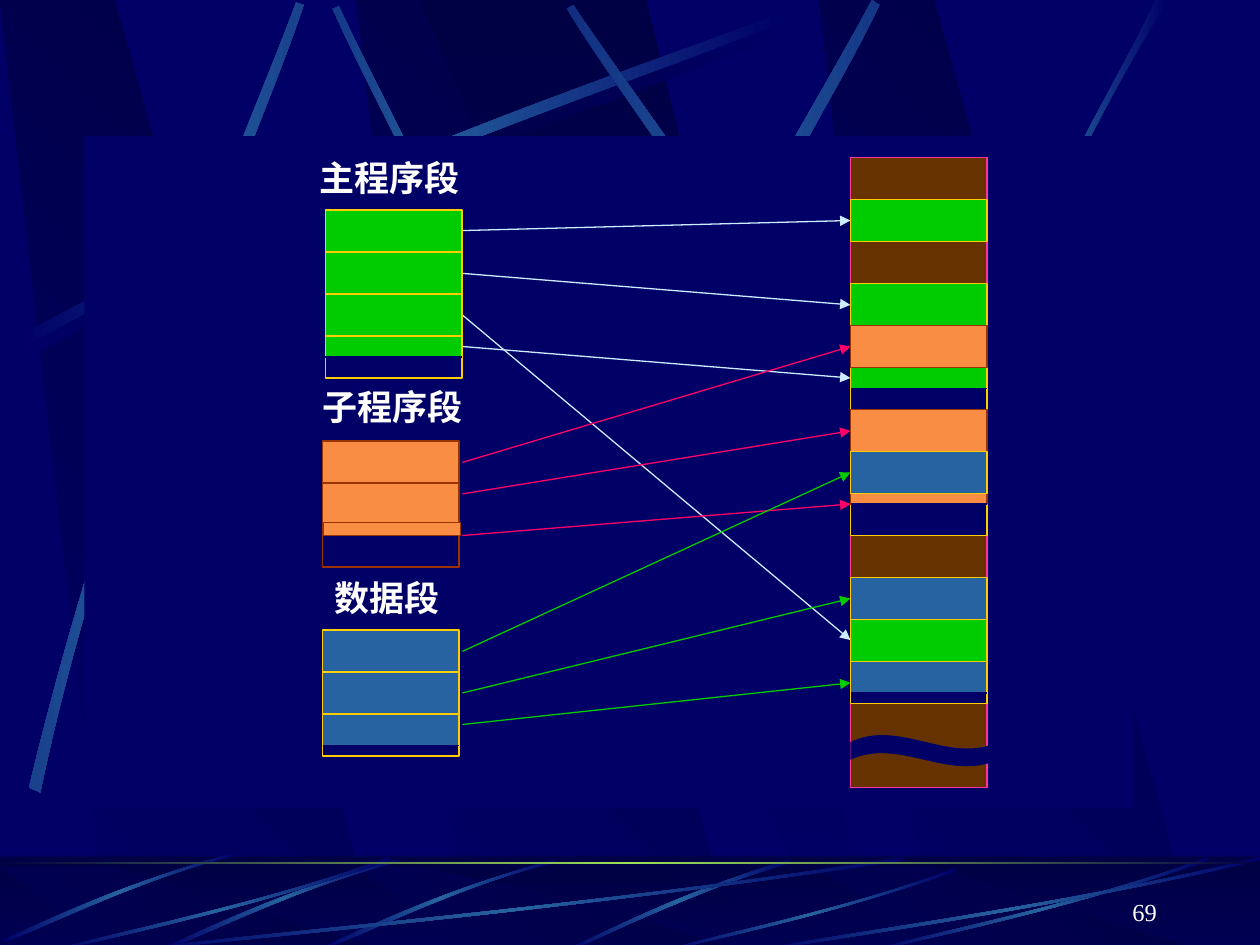
from copy import deepcopy
from math import cos, radians, sin

from lxml import etree
from pptx import Presentation
from pptx import util as u
from pptx.dml.color import RGBColor
from pptx.enum import shapes, text
from pptx.oxml.ns import qn

# Colours
NAVY, DARK, BLUE, GREEN, ORANGE = "000066", "000044", "2663A0", "00CC00", "F98D43"
GOLD, RUST, WHITE = "FFCC00", "993300", "FFFFFF"
STREAK = ([NAVY, BLUE, NAVY], 0)
SHADE = ([NAVY, DARK, NAVY], 0)

# Background outlines: (x, y) is a line, six numbers are a curve
PANEL_LEFTS = [2.83, 0, 6.5]
PANEL = [(0.86, 1), (3.02, 1), (0.91, 0), (0, 0)]
BEAM = [(3.33, 0), (6.58, 1), (6.94, 1), (5.13, 0)]
LONG_STREAK = [(0.14, 2.67), (2.78, 1.25, 5.18, 0.51, 6.2, 0.1), (6.23, 0.16),
               (5.22, 0.61, 2.48, 1.43, 0.17, 2.77)]
TOP_STREAKS = [  # rotation, outline
    (45, [(4.6, 4.36), (3.91, 2.34, 3.02, 0.77, 2.69, 0.05), (2.64, 0.07),
          (2.95, 0.79, 3.98, 2.58, 4.54, 4.39)]),
    (0, LONG_STREAK),
    (311.7, [(0.23, 6.25), (0.93, 3.34, 1.97, 1.05, 2.35, 0.02), (2.41, 0.04),
             (2.07, 1.08, 0.86, 3.68, 0.32, 6.29)]),
    (321.6, [(3.85, 6.14), (4.98, 3.2, 6.38, 1.02, 6.92, 0), (6.98, 0.04),
             (6.49, 1.08, 4.86, 3.55, 3.94, 6.21)]),
    (34.8, [(8.06, 5.6), (6.7, 2.93, 5.16, 0.95, 4.55, 0.04), (4.5, 0.07),
            (5.07, 1.01, 6.85, 3.25, 7.99, 5.66)]),
    (0, [(7.38, 3.93), (8.14, 1.73, 8.88, 0.66, 9.17, 0), (9.27, 0),
         (8.36, 1.45, 7.69, 3.22, 7.44, 3.97)]),
]
FOOT_ARC = [(6.27, 6.82), (5.37, 7.09, 4.77, 7.42, 4.48, 7.54), (4.53, 7.55),
            (4.9, 7.37, 5.71, 7, 6.28, 6.85)]
FOOT_STREAK = [(1.86, 6.77), (0.99, 7, 0.32, 7.33, 0.02, 7.46), (0.03, 7.48),
               (0.34, 7.37, 1.09, 6.98, 1.87, 6.79)]
FOOT_SHIFTS = [(2.55, 0.05), (1.3, 0.05), (0, 0)]
SWEEP = [(1, 0.04), (0.57, 0.57, 0.17, 0.85, 0.01, 1), (0, 0.99),
         (0.16, 0.81, 0.62, 0.51, 1, 0)]
SWEEP_BOXES = [(1, 6.8, 6.17, 0.75), (0.42, 6.8, 2.67, 0.75), (5.27, 6.89, 2.31, 0.66),
               (6.92, 6.8, 2.67, 0.75), (6, 6.8, 4, 0.75)]
WAVE = [(6.75, 5.89), (7.14, 5.7, 7.53, 6.07, 7.92, 5.89), (7.92, 6.03),
        (7.53, 6.21, 7.14, 5.85, 6.75, 6.03)]

# Program segments and where their pages lie in memory; the last page is part full
CELL_W, CELL_H = 13 / 12, 1 / 3
MEMORY_LEFT, MEMORY_TOP, MEMORY_ROWS, ARROW_LEFT = 6.75, 1.25, 15, 3.67
SEGMENTS = [
    dict(name="主程序段", label=(2.53, 1.19, 1.13, 0.44), left=31 / 12, top=5 / 3,
         fill=GREEN, line=GOLD, part=0.5, rows=[1, 3, 11, 5], arrow="CCECFF",
         links=[(1.83, 1.75), (2.17, 2.42), (2.5, 5.08), (2.75, 3)]),
    dict(name="子程序段", label=(2.55, 3.01, 1.13, 0.44), left=2.56, top=3.5,
         fill=ORANGE, line=RUST, part=0.25, rows=[4, 6, 8], arrow="FF0066",
         links=[(3.67, 2.75), (3.92, 3.42), (4.25, 4)]),
    dict(name="数据段", label=(2.64, 4.53, 0.86, 0.44), left=2.56, top=5,
         fill=BLUE, line=GOLD, part=0.75, rows=[7, 10, 12], arrow=GREEN,
         links=[(5.17, 3.75), (5.5, 4.75), (5.75, 5.42)]),
]


def colour(value):
    return RGBColor.from_string(value)


def paint(shape, fill, line=None):
    """Fill is one colour, or a list of colours with a clockwise angle."""
    shape.shadow.inherit = False
    if isinstance(fill, str):
        shape.fill.solid()
        shape.fill.fore_color.rgb = colour(fill)
    else:
        colours, angle = fill
        shape.fill.gradient()
        shape.fill.gradient_angle = -angle % 360
        stop = shape._element.spPr.find(".//" + qn("a:gs"))
        for _ in colours[2:]:
            stop.addnext(deepcopy(stop))
        for i, (stop, value) in enumerate(zip(shape.fill.gradient_stops, colours)):
            stop.position = i / (len(colours) - 1)
            stop.color.rgb = colour(value)
    if line:
        shape.line.color.rgb = colour(line)
        shape.line.width = u.Pt(0.75)
    else:
        shape.line.fill.background()
    return shape


def add_rect(box, fill, line=None):
    rect = page.shapes.add_shape(shapes.MSO_SHAPE.RECTANGLE, *map(u.Inches, box))
    return paint(rect, fill, line)


def turn(point, angle):
    c, s = cos(radians(angle)), sin(radians(angle))
    return point[0] * c - point[1] * s, point[0] * s + point[1] * c


def place(outline, dx=0, dy=0, sx=1, sy=1):
    return [tuple(v * (sy if i % 2 else sx) + (dy if i % 2 else dx)
                  for i, v in enumerate(part)) for part in outline]


def add_outline(outline, fill, rotation=0):
    """Draw lines through every point, then join each three into a curve."""
    points = [tuple(map(u.Inches, turn(part[i:i + 2], -rotation)))
              for part in outline for i in range(0, len(part), 2)]
    builder = page.shapes.build_freeform(*points[0], scale=1.0)
    builder.add_line_segments(points[1:], close=True)
    shape = paint(builder.convert_to_shape(), fill)
    segments = iter(shape._element.spPr.findall(".//" + qn("a:lnTo")))
    for part in outline[1:]:
        segment = next(segments)
        if len(part) == 6:
            segment.addprevious(curve := etree.Element(qn("a:cubicBezTo")))
            for old in (segment, next(segments), next(segments)):
                curve.append(old[0])
                old.getparent().remove(old)
    if rotation:
        middle = shape.left + shape.width / 2, shape.top + shape.height / 2
        x, y = turn(middle, rotation)
        shape.left, shape.top = round(x - shape.width / 2), round(y - shape.height / 2)
        shape.rotation = rotation
        shape._element.spPr.find(qn("a:gradFill")).set("rotWithShape", "0")


def add_line(start, end, value, arrow=False):
    line = page.shapes.add_connector(shapes.MSO_CONNECTOR.STRAIGHT,
                                     *map(u.Inches, (*start, *end)))
    line.line.color.rgb = colour(value)
    line.line.width = u.Pt(0.75)
    if arrow:
        etree.SubElement(line.line._get_or_add_ln(), qn("a:tailEnd"), type="triangle")
    etree.SubElement(line._element.spPr, qn("a:effectLst"))


def add_text(box, words, font, frame, align):
    label = page.shapes.add_textbox(*map(u.Inches, box)).text_frame
    for key, value in frame.items():
        setattr(label, key, value)
    para = label.paragraphs[0]
    para.alignment = align
    span = para.add_run()
    span.text = words
    for key, value in dict(name="Times New Roman", **font).items():
        setattr(span.font, key, value)
    span.font.color.rgb = colour(WHITE)


def add_part_page(left, top, segment, spare, nudge=(0, 0)):
    """A blank page, filled from the top, with its dividing edge hidden."""
    height = CELL_H * segment["part"]
    add_rect((left, top, CELL_W, CELL_H), NAVY, spare)
    filled = left + nudge[0], top + nudge[1], CELL_W, height - nudge[1]
    edge = (left, top + height), (left + CELL_W, top + height)
    if any(nudge):
        add_line(*edge, NAVY)
    add_rect(filled, segment["fill"], segment["line"])
    if not any(nudge):
        add_line(*edge, NAVY)


def add_panels(top, height):
    for left in PANEL_LEFTS:
        add_outline(place(PANEL, left, top, 1, height), ([NAVY, DARK], 315))
    add_outline(place(BEAM, 0, top, 1, height), ([DARK, NAVY], 90))


deck = Presentation()
deck.slide_width, deck.slide_height = u.Inches(10), u.Inches(7.5)
page = deck.slides.add_slide(deck.slide_layouts[6])
page.background.fill.solid()
page.background.fill.fore_color.rgb = colour(NAVY)

# Upper background
add_panels(0, 7.52)
add_outline(place(LONG_STREAK, 0.06, 0.08), SHADE)
for rotation, outline in TOP_STREAKS:
    add_outline(outline, STREAK, rotation)

# Footer band
add_rect((0, 6.8, 10, 0.75), ([DARK, NAVY], 90))
add_panels(6.88, 0.66)
veil = add_rect((0, 6.79, 10, 0.75), DARK)
etree.SubElement(veil._element.spPr.find(".//" + qn("a:srgbClr")), qn("a:alpha"), val="50000")
add_outline(FOOT_ARC, STREAK)
for shift in FOOT_SHIFTS:
    add_outline(place(FOOT_STREAK, *shift), STREAK, 314.9)
for box in SWEEP_BOXES:
    add_outline(place(SWEEP, *box), STREAK)
add_rect((0, 6.84, 10, 0.02), ([DARK, "9CE157", DARK], 0))

# Diagram ground and memory column
add_rect((0.67, 1.08, 8.33, 5.33), NAVY)
add_rect((MEMORY_LEFT, MEMORY_TOP, CELL_W, MEMORY_ROWS * CELL_H), "663300", "FF3399")
add_outline(WAVE, NAVY)

# Arrows from segment pages to memory pages
for segment in SEGMENTS:
    for start, end in segment["links"]:
        add_line((ARROW_LEFT, start), (MEMORY_LEFT, end), segment["arrow"], arrow=True)

# Segments with labels, and their pages in memory
for segment in SEGMENTS:
    add_text(segment["label"], segment["name"], dict(size=u.Pt(20), bold=True),
             dict(margin_left=0, margin_right=0, word_wrap=False,
                  auto_size=text.MSO_AUTO_SIZE.SHAPE_TO_FIT_TEXT), text.PP_ALIGN.CENTER)
    *full_rows, last_row = segment["rows"]
    for i, row in enumerate(full_rows):
        for left, top in ((segment["left"], segment["top"] + i * CELL_H),
                          (MEMORY_LEFT, MEMORY_TOP + row * CELL_H)):
            add_rect((left, top, CELL_W, CELL_H), segment["fill"], segment["line"])
    nudge = (0.01, -0.02) if segment["line"] == RUST else (0, 0)
    add_part_page(segment["left"], segment["top"] + len(full_rows) * CELL_H,
                  segment, segment["line"], nudge)
    add_part_page(MEMORY_LEFT, MEMORY_TOP + last_row * CELL_H, segment, GOLD)

# Page number
add_text((7.2, 6.9, 2.08, 0.5), "69", dict(size=u.Pt(14)),
         dict(word_wrap=True, vertical_anchor=text.MSO_ANCHOR.BOTTOM), text.PP_ALIGN.RIGHT)

deck.save("out.pptx")
